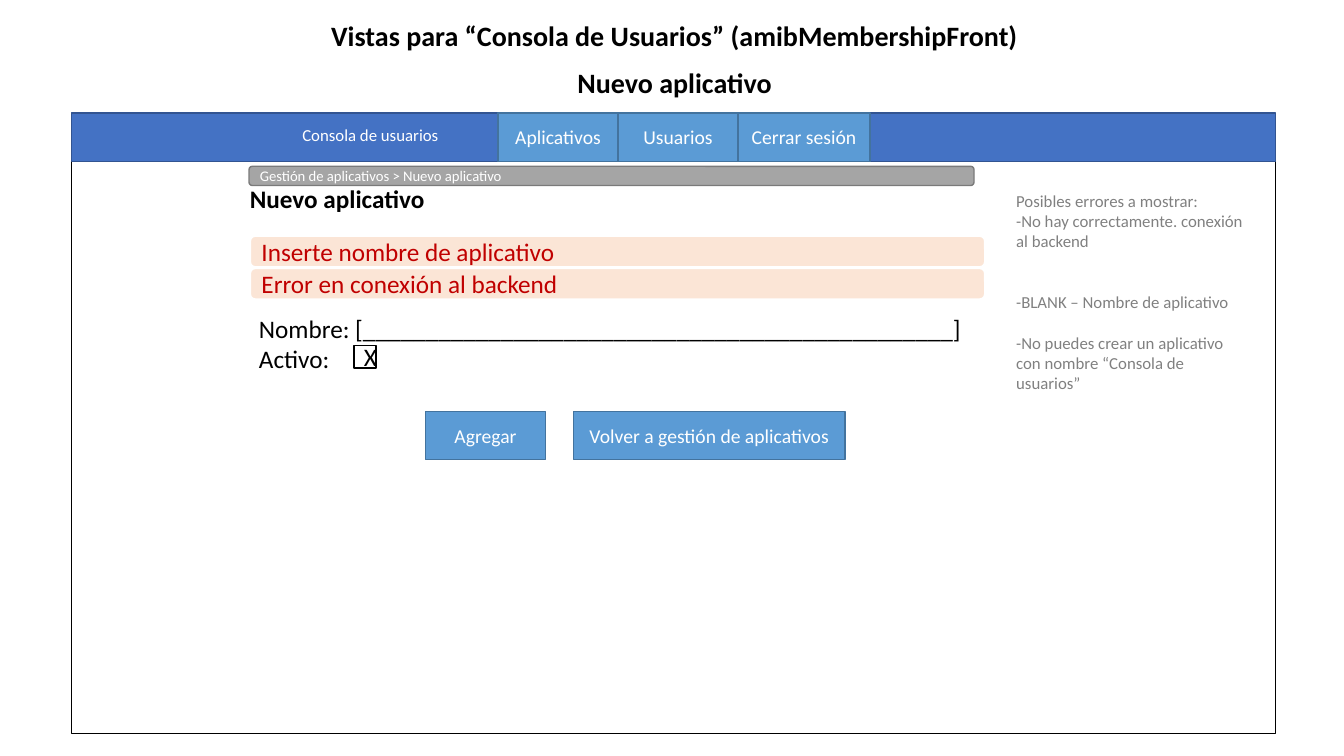
from pptx import Presentation
from pptx.dml.color import RGBColor
from pptx.enum.shapes import MSO_SHAPE as Shape
from pptx.enum.text import MSO_ANCHOR as Anchor, MSO_AUTO_SIZE as Fit, PP_ALIGN as Align
from pptx.util import Inches, Pt

BLACK = RGBColor(0x00, 0x00, 0x00)
WHITE = RGBColor(0xFF, 0xFF, 0xFF)
NAVY = RGBColor(0x44, 0x72, 0xC4)
NAVY_EDGE = RGBColor(0x32, 0x54, 0x91)
BLUE = RGBColor(0x5B, 0x9B, 0xD5)
BLUE_EDGE = RGBColor(0x43, 0x73, 0x9E)
GRAY = RGBColor(0xA5, 0xA5, 0xA5)
GRAY_EDGE = RGBColor(0x7A, 0x7A, 0x7A)
NOTE_GRAY = RGBColor(0x80, 0x80, 0x80)
PEACH = RGBColor(0xFB, 0xE5, 0xD6)
RED = RGBColor(0xC0, 0x00, 0x00)

HEADINGS = ["Vistas para “Consola de Usuarios” (amibMembershipFront)", "Nuevo aplicativo"]
BRAND = "Consola de usuarios"
TABS = [("Aplicativos", 1.19), ("Usuarios", 1.19), ("Cerrar sesión", 1.31)]
BREADCRUMB = "Gestión de aplicativos > Nuevo aplicativo"
VIEW_NAME = "Nuevo aplicativo"
ALERTS = ["Inserte nombre de aplicativo", "Error en conexión al backend"]
FIELDS = ["Nombre: [" + "_" * 47 + "]", "Activo:"]
BUTTONS = [("Agregar", 1.19), ("Volver a gestión de aplicativos", 2.69)]
NOTES = [
    ("Posibles errores a mostrar:", 0),
    ("-No hay correctamente. conexión al backend", 0),
    ("-BLANK – Nombre de aplicativo", 2),
    ("-No puedes crear un aplicativo con nombre “Consola de usuarios”", 1),
]

WIDTH, HEIGHT = 13.33, 7.5
FRAME_LEFT, FRAME_WIDTH = 0.71, 11.94
BAR_TOP, BAR_HEIGHT = 1.12, 0.48
FORM_LEFT, FORM_WIDTH = 2.47, 7.29
TABS_LEFT = 4.94
BUTTONS_LEFT, BUTTONS_TOP, BUTTON_GAP = 4.22, 4.08, 0.28
ALERTS_TOP, ALERT_STEP = 2.34, 0.32
NOTE_LINE = 14.65


def write(frame, lines, size, color, align=Align.LEFT, bold=False):
    frame.word_wrap = True
    for index, line in enumerate(lines):
        para = frame.paragraphs[0] if index == 0 else frame.add_paragraph()
        para.alignment = align
        span = para.add_run()
        span.text = line
        span.font.name = "Calibri"
        span.font.size = Pt(size)
        span.font.bold = bold
        span.font.color.rgb = color


def add_text(shapes, place, lines, size, color, bold=False):
    box = shapes.add_textbox(*map(Inches, place))
    write(box.text_frame, lines, size, color, bold=bold)
    return box.text_frame


def add_panel(shapes, place, fill, edge, kind=Shape.RECTANGLE, weight=1):
    panel = shapes.add_shape(kind, *map(Inches, place))
    panel.shadow.inherit = False
    panel.fill.solid()
    panel.fill.fore_color.rgb = fill
    panel.line.color.rgb = edge
    panel.line.width = Pt(weight)
    panel.text_frame.vertical_anchor = Anchor.MIDDLE
    return panel.text_frame


def add_buttons(shapes, buttons, left, top, gap):
    for label, width in buttons:
        frame = add_panel(shapes, (left, top, width, BAR_HEIGHT), BLUE, BLUE_EDGE)
        write(frame, [label], 14, WHITE, Align.CENTER)
        left += width + gap


def add_headings(page):
    for index, (holder, heading) in enumerate(zip(page.placeholders, HEADINGS)):
        holder.left, holder.top = Inches(1.69), Inches(0.17 + 0.47 * index)
        holder.width, holder.height = Inches(10), Inches(0.4)
        frame = holder.text_frame
        frame.auto_size = Fit.NONE
        frame.vertical_anchor = Anchor.BOTTOM if index else Anchor.TOP
        write(frame, [heading], 20, BLACK, Align.CENTER, True)
        frame.paragraphs[0].line_spacing = 0.9
        frame.paragraphs[0].space_before = Pt(0)


def add_window(page):
    window = page.shapes.add_group_shape().shapes
    add_panel(window, (FRAME_LEFT, 1.13, FRAME_WIDTH, 6.15), WHITE, BLACK)
    add_panel(window, (FRAME_LEFT, BAR_TOP, FRAME_WIDTH, BAR_HEIGHT), NAVY, NAVY_EDGE)
    add_text(window, (2.9, 1.19, 1.92, 0.3), [BRAND], 12, WHITE)
    add_buttons(window, TABS, TABS_LEFT, BAR_TOP, 0)


def add_form(shapes):
    add_text(shapes, (2.38, 1.77, 8.67, 0.4), [VIEW_NAME], 18, BLACK, True)
    add_text(shapes, (FORM_LEFT, 3.06, FORM_WIDTH, 0.71), FIELDS, 18, BLACK)
    check = add_panel(shapes, (3.51, 3.43, 0.22, 0.22), WHITE, BLACK)
    write(check, ["X"], 18, BLACK, Align.CENTER)
    for index, alert in enumerate(ALERTS):
        place = (FORM_LEFT + 0.01, ALERTS_TOP + ALERT_STEP * index, FORM_WIDTH, 0.31)
        frame = add_panel(shapes, place, PEACH, WHITE, Shape.ROUNDED_RECTANGLE, 1.5)
        write(frame, [alert], 18, RED)
    add_buttons(shapes, BUTTONS, BUTTONS_LEFT, BUTTONS_TOP, BUTTON_GAP)
    crumb = add_panel(shapes, (FORM_LEFT, 1.65, 7.19, 0.19), GRAY, GRAY_EDGE, Shape.ROUNDED_RECTANGLE)
    write(crumb, [BREADCRUMB], 10.5, WHITE)


def add_notes(shapes):
    lines = [line for line, gap in NOTES]
    frame = add_text(shapes, (9.98, 1.84, 2.45, 2.12), lines, 12, NOTE_GRAY)
    for para, (line, gap) in zip(frame.paragraphs, NOTES):
        if gap:
            para.space_before = Pt(gap * NOTE_LINE)


def main():
    deck = Presentation()
    deck.slide_width, deck.slide_height = Inches(WIDTH), Inches(HEIGHT)
    page = deck.slides.add_slide(deck.slide_layouts[0])
    add_headings(page)
    add_window(page)
    add_form(page.shapes)
    add_notes(page.shapes)
    deck.save("out.pptx")


if __name__ == "__main__":
    main()
